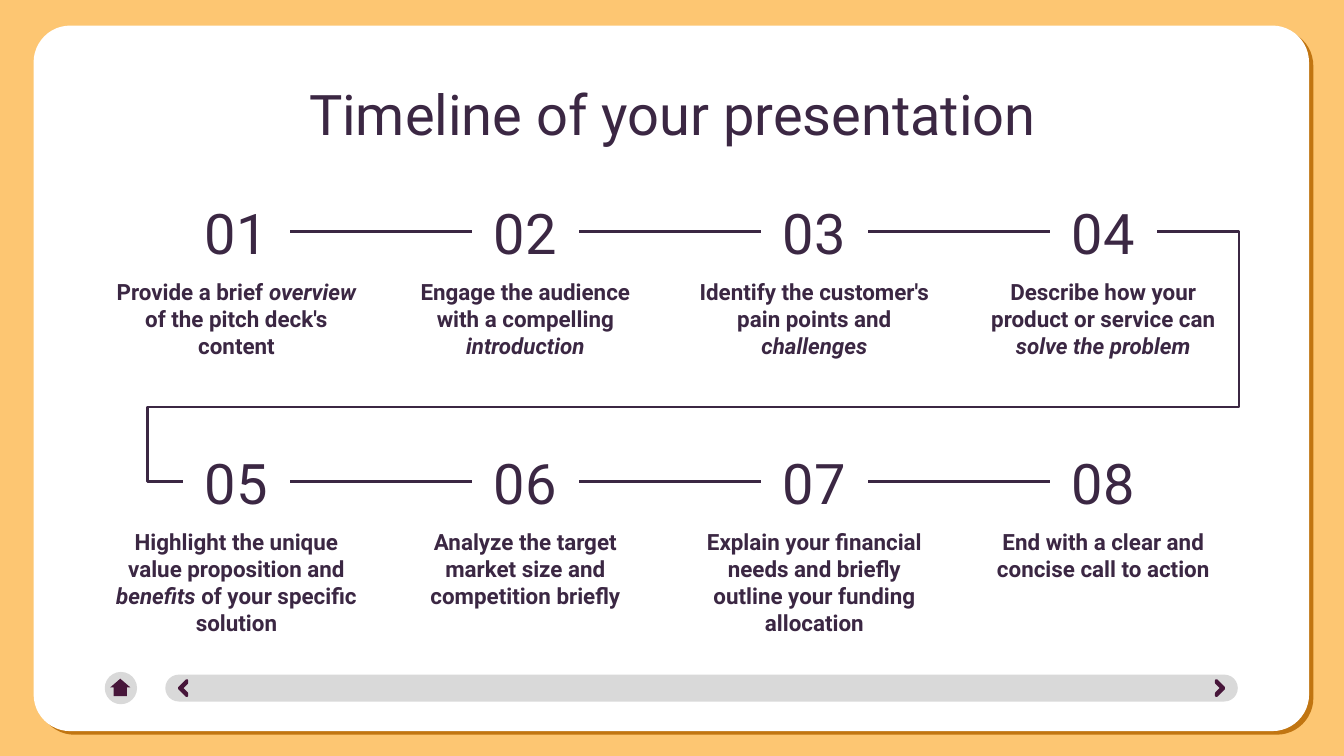
from lxml.etree import SubElement
from pptx import Presentation
from pptx.dml.color import RGBColor
from pptx.enum.shapes import MSO_CONNECTOR as LINK, MSO_SHAPE as SHAPE
from pptx.enum.text import MSO_ANCHOR as ANCHOR, PP_ALIGN as ALIGN
from pptx.oxml.ns import qn
from pptx.util import Inches, Pt

AMBER = RGBColor(0xFD, 0xC6, 0x72)
WHITE = RGBColor(0xFF, 0xFF, 0xFF)
GRAY = RGBColor(0xD9, 0xD9, 0xD9)
WINE = RGBColor(0x47, 0x16, 0x3A)
PURPLE = RGBColor(0x3B, 0x27, 0x43)
FONT = "Roboto"

# Widescreen page, in inches
PAGE_WIDTH = 10
PAGE_HEIGHT = PAGE_WIDTH * 9 / 16

# Grid of steps, in inches
COLUMNS = 4
LEFT, COLUMN_STEP, TEXT_WIDTH, TEXT_HEIGHT = 0.76, 2.15, 2, 0.88
TOP, ROW_STEP = 1.48, 1.86
NUMBER_WIDTH, NUMBER_HEIGHT = 0.8, 0.49
NUMBER_INDENT = (TEXT_WIDTH - NUMBER_WIDTH) / 2

# Each step is a list of (words, italic) spans
STEPS = [
    [("Provide a brief ", False), ("overview", True), (" of the pitch deck's content", False)],
    [("Engage the audience with a compelling ", False), ("introduction", True)],
    [("Identify the customer's pain points and ", False), ("challenges", True)],
    [("Describe how your product or service can ", False), ("solve the problem", True)],
    [("Highlight the unique value proposition and ", False), ("benefits ", True),
     ("of your specific solution", False)],
    [("Analyze the target market size and competition briefly", False)],
    [("Explain your financial needs and briefly outline your funding allocation", False)],
    [("End with a clear and concise call to action", False)],
]


def inches(*lengths):
    return [Inches(length) for length in lengths]


def write(box, spans, size=12, bold=False, anchor=ANCHOR.TOP):
    """Fill a box with one centred paragraph of (words, italic) spans."""
    frame = box.text_frame
    frame.word_wrap = True
    frame.vertical_anchor = anchor
    frame.margin_left = frame.margin_right = Inches(0.1)
    frame.margin_top = frame.margin_bottom = Inches(0.1)
    para = frame.paragraphs[0]
    para.alignment = ALIGN.CENTER
    for words, italic in spans:
        span = para.add_run()
        span.text = words
        span.font.name = FONT
        span.font.size = Pt(size)
        span.font.bold = bold
        span.font.italic = italic
        span.font.color.rgb = PURPLE


def add_text(page, area, spans, **style):
    write(page.shapes.add_textbox(*inches(*area)), spans, **style)


def add_block(page, kind, area, color, adjust=(), rotation=0, outline=None):
    block = page.shapes.add_shape(kind, *inches(*area))
    block.shadow.inherit = False
    block.fill.solid()
    block.fill.fore_color.rgb = color
    block.rotation = rotation
    for index, value in enumerate(adjust):
        block.adjustments[index] = value
    if outline:
        block.line.color.rgb = color
        block.line.width = Pt(outline)
    else:
        block.line.fill.background()
    return block


def add_hard_shadow(block, color, distance, degrees):
    effects = block.element.spPr.find(qn("a:effectLst"))
    shadow = SubElement(effects, qn("a:outerShdw"), blurRad="0", dist=str(Pt(distance)),
                        dir=str(degrees * 60000), algn="bl", rotWithShape="0")
    SubElement(shadow, qn("a:srgbClr"), val=color)


def add_link(page, start, end, kind=LINK.STRAIGHT):
    link = page.shapes.add_connector(kind, *inches(*start, *end))
    link.line.color.rgb = PURPLE
    link.line.width = Pt(1.5)
    SubElement(link.element.spPr, qn("a:effectLst"))
    return link


def bend(link, *shares):
    """Give an elbow link five parts, turning at the given shares of its size."""
    shape = link.element.spPr.find(qn("a:prstGeom"))
    shape.set("prst", "bentConnector5")
    guides = shape.find(qn("a:avLst"))
    for number, share in enumerate(shares, 1):
        SubElement(guides, qn("a:gd"), name=f"adj{number}", fmla=f"val {round(share * 100000)}")


def add_frame(page):
    # White card
    card = add_block(page, SHAPE.ROUNDED_RECTANGLE, (0.25, 0.19, 9.49, 5.25), WHITE, [0.052])
    add_hard_shadow(card, "C17511", 3, 40)
    # Navigation bar with its chevrons
    add_block(page, SHAPE.ROUNDED_RECTANGLE, (1.23, 5.02, 7.98, 0.2), GRAY, [0.5])
    for left, rotation in ((1.35, 315), (9.01, 135)):
        add_block(page, SHAPE.HALF_FRAME, (left, 5.08, 0.08, 0.08), WINE,
                  [0.153, 0.153], rotation, outline=1.5)
    # Home button
    add_block(page, SHAPE.OVAL, (0.78, 5, 0.24, 0.24), GRAY)
    add_block(page, SHAPE.RIGHT_ARROW, (0.83, 5.04, 0.13, 0.15), WINE, [0.669, 0.5], 270)


def add_title(page, words):
    title = page.shapes.title
    title.left, title.top, title.width, title.height = inches(0.79, 0.49, 8.43, 0.63)
    write(title, [(words, False)], size=30)
    title.element.getparent().append(title.element)  # bring in front of the card


def add_step(page, index, spans):
    row, column = divmod(index, COLUMNS)
    left, top = LEFT + column * COLUMN_STEP, TOP + row * ROW_STEP
    number_left = left + NUMBER_INDENT
    add_text(page, (left, top + NUMBER_HEIGHT, TEXT_WIDTH, TEXT_HEIGHT), spans, bold=True)
    add_text(page, (number_left, top, NUMBER_WIDTH, NUMBER_HEIGHT),
             [(f"{index + 1:02}", False)], size=30, anchor=ANCHOR.MIDDLE)
    # Line to the next number in the row
    if column < COLUMNS - 1:
        middle = top + NUMBER_HEIGHT / 2
        add_link(page, (number_left + NUMBER_WIDTH, middle), (number_left + COLUMN_STEP, middle))


def add_row_turn(page):
    first = LEFT + NUMBER_INDENT
    last = first + (COLUMNS - 1) * COLUMN_STEP + NUMBER_WIDTH
    middle = TOP + NUMBER_HEIGHT / 2
    turn = add_link(page, (last, middle), (first, middle + ROW_STEP), LINK.ELBOW)
    bend(turn, -0.084, 0.701, 1.036)


def main():
    deck = Presentation()
    deck.slide_width, deck.slide_height = inches(PAGE_WIDTH, PAGE_HEIGHT)
    page = deck.slides.add_slide(deck.slide_layouts[5])
    page.background.fill.solid()
    page.background.fill.fore_color.rgb = AMBER
    add_frame(page)
    add_title(page, "Timeline of your presentation")
    for index, spans in enumerate(STEPS):
        add_step(page, index, spans)
    add_row_turn(page)
    deck.save("out.pptx")


if __name__ == "__main__":
    main()
